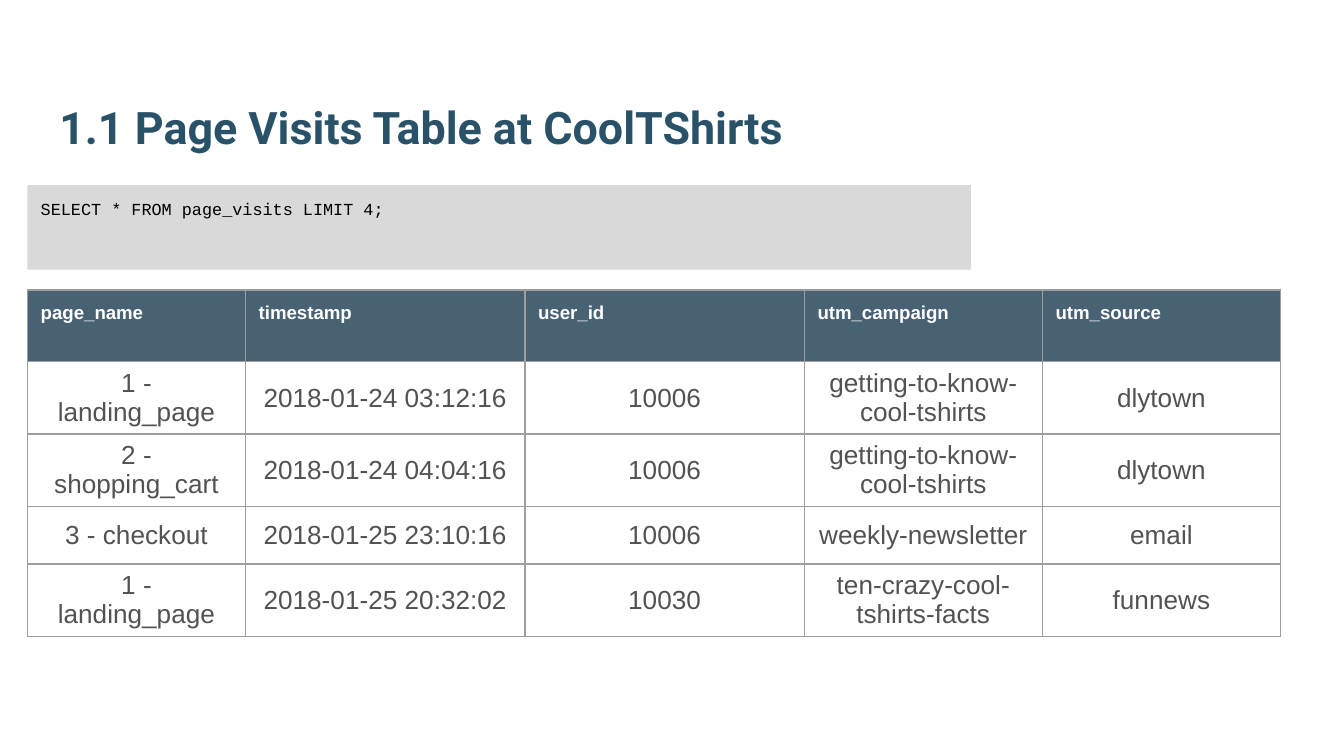
import pptx
import pptx.util
import pptx.dml.color
import pptx.enum.shapes
import pptx.enum.text
import pptx.oxml.ns
from lxml import etree
from pptx.util import Cm

ALIGN = pptx.enum.text.PP_ALIGN
ANCHOR = pptx.enum.text.MSO_ANCHOR


def color(value):
    return pptx.dml.color.RGBColor.from_string(value)


def add_element(parent, tag, **attributes):
    return etree.SubElement(parent, pptx.oxml.ns.qn(tag), attributes)


class VisitsSlide:
    margin = Cm(0.25)
    title_color = "295269"
    header_fill = "204056"
    header_alpha = "82000"
    body_color = "525252"
    border_color = "9E9E9E"
    code_fill = "D9D9D9"

    def __init__(self, presentation):
        self.slide = presentation.slides.add_slide(presentation.slide_layouts[5])

    def format_text(self, paragraph, name, size, hex_color, bold=False, align=ALIGN.LEFT):
        paragraph.alignment = align
        paragraph.font.name = name
        paragraph.font.size = pptx.util.Pt(size)
        paragraph.font.bold = bold
        paragraph.font.color.rgb = color(hex_color)

    def set_margins(self, target):
        target.margin_left = target.margin_right = self.margin
        target.margin_top = target.margin_bottom = self.margin

    def title(self, text, left, top, width, height):
        shape = self.slide.shapes.title
        shape.left, shape.top, shape.width, shape.height = left, top, width, height
        frame = shape.text_frame
        frame.text = text
        frame.auto_size = pptx.enum.text.MSO_AUTO_SIZE.NONE
        frame.vertical_anchor = ANCHOR.BOTTOM
        self.set_margins(frame)
        self.format_text(frame.paragraphs[0], "Roboto", 24, self.title_color, bold=True)

    def code_box(self, text, left, top, width, height):
        shape = self.slide.shapes.add_shape(
            pptx.enum.shapes.MSO_SHAPE.RECTANGLE, left, top, width, height)
        shape.shadow.inherit = False
        shape.fill.solid()
        shape.fill.fore_color.rgb = color(self.code_fill)
        shape.line.fill.background()
        frame = shape.text_frame
        frame.text = text
        frame.word_wrap = True
        frame.vertical_anchor = ANCHOR.TOP
        self.set_margins(frame)
        self.format_text(frame.paragraphs[0], "Courier New", 9, "000000")

    def borders(self, cell):
        properties = cell._tc.get_or_add_tcPr()
        for side in ("a:lnL", "a:lnR", "a:lnT", "a:lnB"):
            line = add_element(properties, side, w=str(pptx.util.Pt(0.75)))
            fill = add_element(line, "a:solidFill")
            add_element(fill, "a:srgbClr", val=self.border_color)

    def header_cell(self, cell):
        cell.vertical_anchor = ANCHOR.TOP
        self.set_margins(cell)
        self.format_text(cell.text_frame.paragraphs[0], "Arial", 10, "FFFFFF", bold=True)
        cell.fill.solid()
        cell.fill.fore_color.rgb = color(self.header_fill)
        fill_color = cell._tc.tcPr.find(".//" + pptx.oxml.ns.qn("a:srgbClr") +
                                        f"[@val='{self.header_fill}']")
        add_element(fill_color, "a:alpha", val=self.header_alpha)

    def body_cell(self, cell):
        cell.vertical_anchor = ANCHOR.MIDDLE
        self.format_text(cell.text_frame.paragraphs[0], "Arial", 14, self.body_color,
                         align=ALIGN.CENTER)
        cell.fill.background()

    def table(self, rows, left, top, column_widths, row_heights):
        table = self.slide.shapes.add_table(
            len(rows), len(column_widths), left, top,
            sum(column_widths), sum(row_heights)).table
        for column, width in zip(table.columns, column_widths):
            column.width = width
        for row, height in zip(table.rows, row_heights):
            row.height = height
        for row_index, values in enumerate(rows):
            for column_index, value in enumerate(values):
                cell = table.cell(row_index, column_index)
                cell.text = value
                self.borders(cell)
                if row_index == 0:
                    self.header_cell(cell)
                else:
                    self.body_cell(cell)


def main():
    presentation = pptx.Presentation()
    presentation.slide_width = Cm(25.4)
    presentation.slide_height = Cm(14.29)
    visits = VisitsSlide(presentation)
    left = Cm(0.52)
    visits.title("1.1 Page Visits Table at CoolTShirts",
                 Cm(0.87), Cm(0.81), Cm(23.67), Cm(2.34))
    rows = [
        ("page_name", "timestamp", "user_id", "utm_campaign", "utm_source"),
        ("1 - landing_page", "2018-01-24 03:12:16", "10006",
         "getting-to-know-cool-tshirts", "dlytown"),
        ("2 - shopping_cart", "2018-01-24 04:04:16", "10006",
         "getting-to-know-cool-tshirts", "dlytown"),
        ("3 - checkout", "2018-01-25 23:10:16", "10006", "weekly-newsletter", "email"),
        ("1 - landing_page", "2018-01-25 20:32:02", "10030",
         "ten-crazy-cool-tshirts-facts", "funnews"),
    ]
    column_widths = [Cm(width) for width in (4.12, 5.28, 5.28, 4.5, 4.5)]
    row_heights = [Cm(1.36)] + [Cm(1.09)] * (len(rows) - 1)
    visits.table(rows, left, Cm(5.48), column_widths, row_heights)
    visits.code_box("SELECT * FROM page_visits LIMIT 4;",
                    left, Cm(3.5), Cm(17.83), Cm(1.6))
    presentation.save("out.pptx")


if __name__ == "__main__":
    main()
